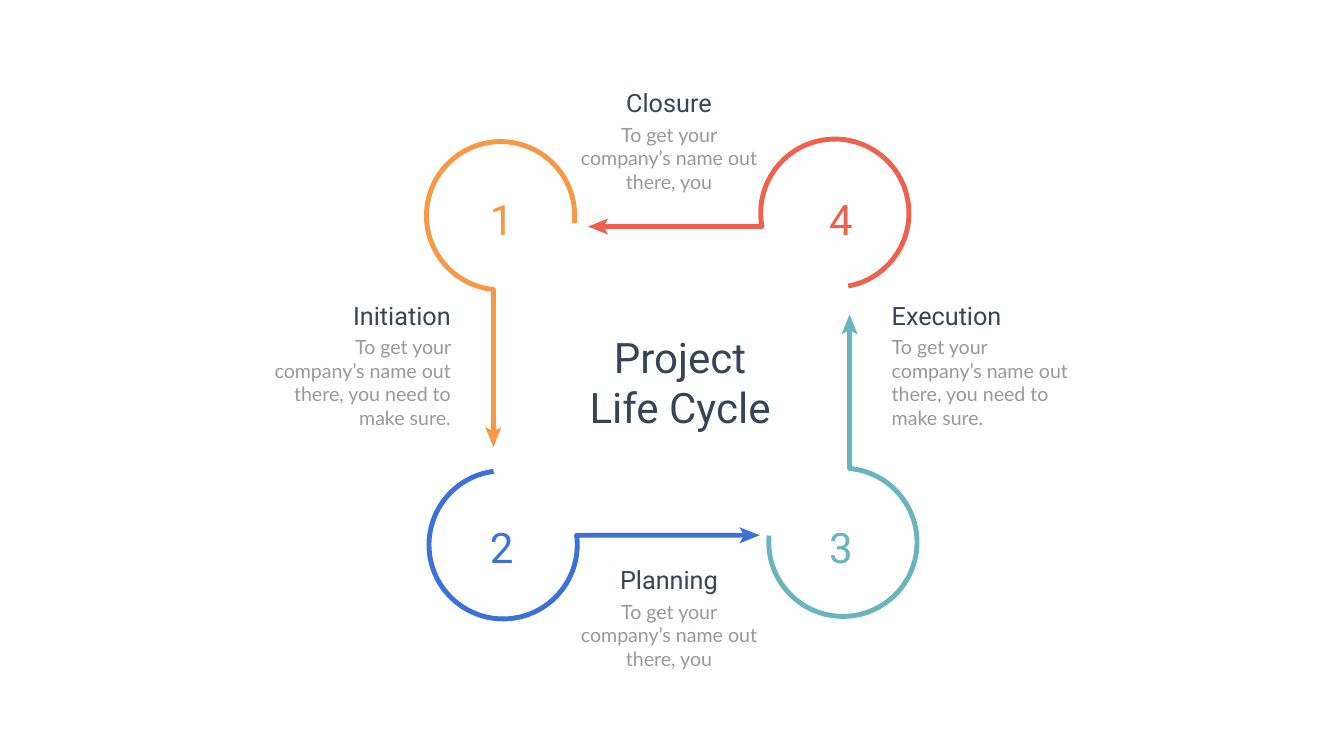
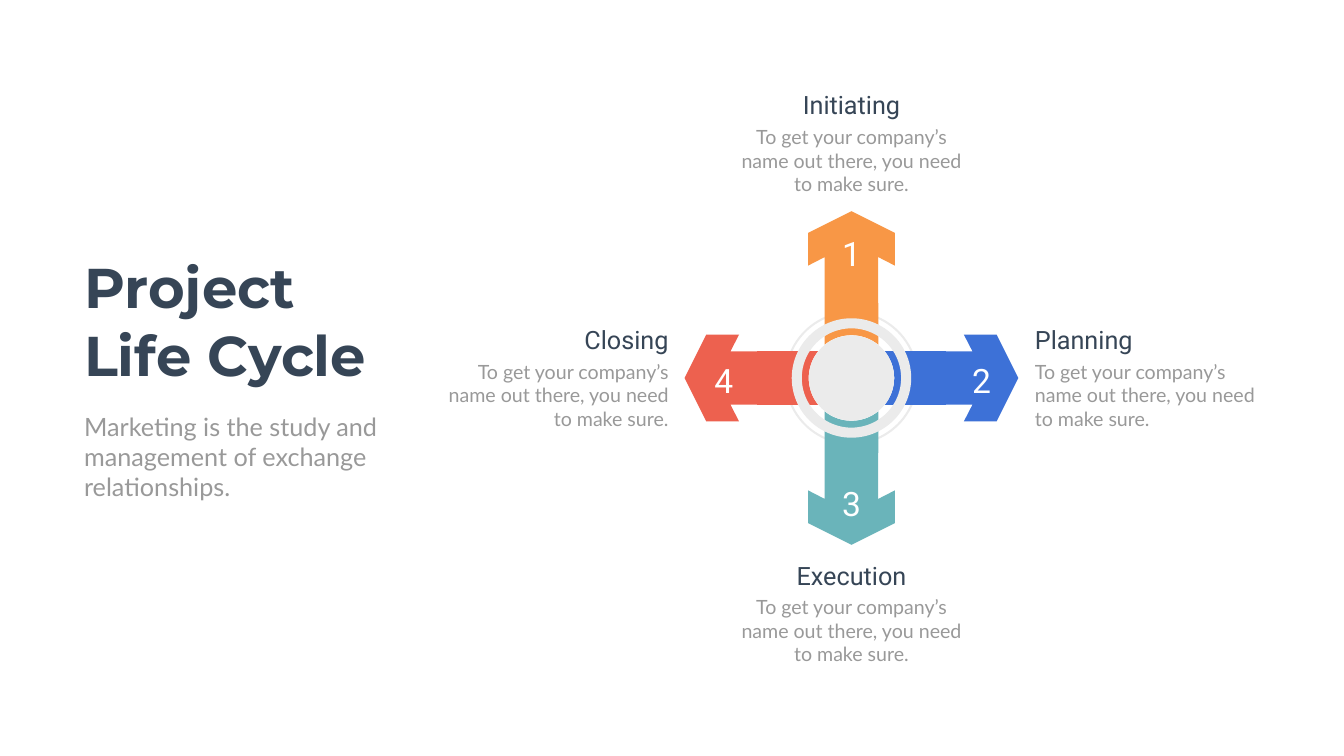
"""Build two project life cycle slides."""
import math

import pptx
import pptx.dml.color
import pptx.enum.shapes
import pptx.enum.text
import pptx.oxml.ns
import pptx.util

Inches = pptx.util.Inches
ALIGN = pptx.enum.text.PP_ALIGN
SHAPE = pptx.enum.shapes.MSO_SHAPE

ORANGE, BLUE, TEAL, RED = "F89746", "3D71D7", "6AB4BA", "ED614F"
INK, GREY, PALE, WHITE = "364556", "999999", "EBEBEB", "FFFFFF"

ALIGN_SHARE = {ALIGN.LEFT: 0, ALIGN.CENTER: 0.5, ALIGN.RIGHT: 1}
COMPANY_TEXT = "To get your company\u2019s name out there, you"
FULL_TEXT = COMPANY_TEXT + " need to make sure."
HUB = (16.89, 7.5)


def colour(value):
    """Turn a hex string into a colour."""
    return pptx.dml.color.RGBColor.from_string(value)


def add_text(shapes, text, place, size, font, tint, align=ALIGN.LEFT, bold=False):
    """Add a wrapped text box with one formatted paragraph."""
    box = shapes.add_textbox(*map(Inches, place))
    frame = box.text_frame
    frame.word_wrap = True
    frame.auto_size = pptx.enum.text.MSO_AUTO_SIZE.SHAPE_TO_FIT_TEXT
    frame.text = text
    para = frame.paragraphs[0]
    para.alignment = align
    span = para.runs[0]
    span.font.size = pptx.util.Pt(size)
    span.font.name = font
    span.font.bold = bold
    span.font.color.rgb = colour(tint)


def add_caption(slide, title, body, edge, top, width, lines, align):
    """Add a grouped heading and body, both aligned on the given edge."""
    shapes = slide.shapes.add_group_shape().shapes
    share = ALIGN_SHARE[align]
    add_text(shapes, title, (edge - share * 2.95, top, 2.95, 0.71),
             36, "Roboto", INK, align)
    add_text(shapes, body, (edge - share * width, top + 0.7, width, 0.1 + 0.47 * lines),
             28, "Lato", GREY, align)


def add_number(slide, number, centre, width, height, size, tint):
    """Add a step number centred on a point."""
    place = (centre[0] - width / 2, centre[1] - height / 2, width, height)
    add_text(slide.shapes, str(number), place, size, "Roboto", tint, ALIGN.CENTER)


def bend(shape, first, pieces):
    """Turn line segments, three at a time, into cubic curves."""
    outline_xml = next(shape.element.iter(pptx.oxml.ns.qn("a:path")))
    segments = outline_xml.findall(pptx.oxml.ns.qn("a:lnTo"))
    for index in range(first, first + 3 * pieces, 3):
        curve, *others = segments[index:index + 3]
        curve.tag = pptx.oxml.ns.qn("a:cubicBezTo")
        for segment in others:
            curve.append(segment[0])
            outline_xml.remove(segment)


def outline(shapes, points, closed):
    """Draw an outline through points given in inches."""
    points = [(Inches(x), Inches(y)) for x, y in points]
    builder = shapes.build_freeform(*points[0])
    builder.add_line_segments(points[1:], close=closed)
    shape = builder.convert_to_shape()
    shape.shadow.inherit = False
    return shape


def fill_plain(shape, tint):
    """Give a shape a solid fill and no line."""
    shape.shadow.inherit = False
    shape.fill.solid()
    shape.fill.fore_color.rgb = colour(tint)
    shape.line.fill.background()


def arc(centre, radius, start, sweep, pieces):
    """List the cubic control points of an arc, with angles in degrees."""
    step = math.radians(sweep / pieces)
    pull = 4 / 3 * math.tan(step / 4)
    points = []
    for piece in range(pieces + 1):
        angle = math.radians(start) + piece * step
        across, down = math.cos(angle), math.sin(angle)
        for offset in (-pull, 0, pull):
            points.append((centre[0] + radius * (across - offset * down),
                           centre[1] + radius * (down + offset * across)))
    return points[1:-1]


def add_ring_arrow(slide, centre, start, direction, length, tint):
    """Draw a three-quarter ring that runs on into a straight arrow."""
    across, down = direction
    points = arc(centre, 1.47, start, -270, 3)
    corner_x, corner_y = points[-1]
    end_x, end_y = corner_x + across * length, corner_y + down * length
    ring = outline(slide.shapes, points + [(end_x, end_y)], False)
    bend(ring, 0, 3)
    ring.fill.background()
    ring.line.color.rgb = colour(tint)
    ring.line.width = pptx.util.Pt(7)
    head = [(0.29, 0), (-0.11, 0.16), (-0.02, 0), (-0.11, -0.16)]
    head_points = [(end_x + along * across - side * down, end_y + along * down + side * across)
                   for along, side in head]
    fill_plain(outline(slide.shapes, head_points, True), tint)


def add_hub_arrow(shapes, quarter_turns, tint):
    """Draw a broad arrow that points away from the hub."""
    right = [(0.53, -2.4), (0.86, -2.23), (0.86, -2.88)]
    left = [(-x, y) for x, y in right]
    base = arc((0, 0), 0.85, -51.2, -77.6, 1)
    points = [base[-1]] + left + [(0, -3.31)] + right[::-1] + base
    for _ in range(quarter_turns):
        points = [(-y, x) for x, y in points]
    arrow = outline(shapes, [(HUB[0] + x, HUB[1] + y) for x, y in points], True)
    bend(arrow, len(points) - 4, 1)
    fill_plain(arrow, tint)


def add_hub_circle(shapes, preset, size, thickness=None):
    """Draw a pale disc or ring around the hub."""
    left, top = HUB[0] - size / 2, HUB[1] - size / 2
    circle = shapes.add_shape(preset, *map(Inches, (left, top, size, size)))
    if thickness:
        circle.adjustments[0] = thickness / size
    fill_plain(circle, PALE)


def build_ring_slide(slide):
    """Build the cycle of four open rings."""
    steps = [
        ((9.93, 4.28), 5.6, (0, 1), 2.84, ORANGE, (9.95, 4.34)),
        ((9.98, 10.81), -97.4, (1, 0), 3.34, BLUE, (9.95, 10.86)),
        ((16.72, 10.76), -174.8, (0, -1), 2.77, TEAL, (16.68, 10.86)),
        ((16.56, 4.23), 79.6, (-1, 0), 3.16, RED, (16.68, 4.34)),
    ]
    for centre, start, direction, length, tint, _ in steps:
        add_ring_arrow(slide, centre, start, direction, length, tint)
    captions = [
        ("Initiation", FULL_TEXT, 9.04, 5.9, 4, ALIGN.RIGHT),
        ("Execution", FULL_TEXT, 17.59, 5.9, 4, ALIGN.LEFT),
        ("Closure", COMPANY_TEXT, 13.27, 1.68, 3, ALIGN.CENTER),
        ("Planning", COMPANY_TEXT, 13.27, 11.15, 3, ALIGN.CENTER),
    ]
    for title, body, edge, top, lines, align in captions:
        add_caption(slide, title, body, edge, top, 3.75, lines, align)
    for number, (*_, tint, centre) in enumerate(steps, 1):
        add_number(slide, number, centre, 0.89, 1.11, 60, tint)
    add_text(slide.shapes, "Project Life Cycle", (11.49, 6.52, 4, 2.12),
             60, "Roboto", INK, ALIGN.CENTER)


def build_hub_slide(slide):
    """Build the hub with four outward arrows."""
    heading = slide.shapes.add_group_shape().shapes
    add_text(heading, "Project Life Cycle", (1.57, 4.97, 6.04, 2.79),
             80, "Montserrat", INK, bold=True)
    add_text(heading, "Marketing is the study and management of exchange relationships.",
             (1.57, 8.11, 6.04, 1.92), 36, "Lato", GREY)
    hub = slide.shapes.add_group_shape().shapes
    add_hub_circle(hub, SHAPE.DONUT, 2.65, 0.04)
    for quarter_turns, tint in enumerate((ORANGE, BLUE, TEAL, RED)):
        add_hub_arrow(hub, quarter_turns, tint)
    add_hub_circle(hub, SHAPE.OVAL, 1.69)
    add_hub_circle(hub, SHAPE.DONUT, 2.37, 0.2)
    captions = [
        ("Initiating", HUB[0], 1.73, ALIGN.CENTER),
        ("Execution", HUB[0], 11.06, ALIGN.CENTER),
        ("Planning", 20.43, 6.39, ALIGN.LEFT),
        ("Closing", 13.36, 6.39, ALIGN.RIGHT),
    ]
    for title, edge, top, align in captions:
        add_caption(slide, title, FULL_TEXT, edge, top, 4.66, 3, align)
    centres = [(HUB[0], 5.02), (19.47, 7.54), (HUB[0], 9.98), (14.36, 7.54)]
    for number, centre in enumerate(centres, 1):
        add_number(slide, number, centre, 0.58, 0.91, 48, WHITE)


def main():
    """Build and save the deck."""
    deck = pptx.Presentation()
    deck.slide_width, deck.slide_height = Inches(26.66), Inches(15)
    for build in (build_ring_slide, build_hub_slide):
        slide = deck.slides.add_slide(deck.slide_layouts[6])
        slide.background.fill.solid()
        slide.background.fill.fore_color.rgb = colour(WHITE)
        build(slide)
    deck.save("out.pptx")


main()
